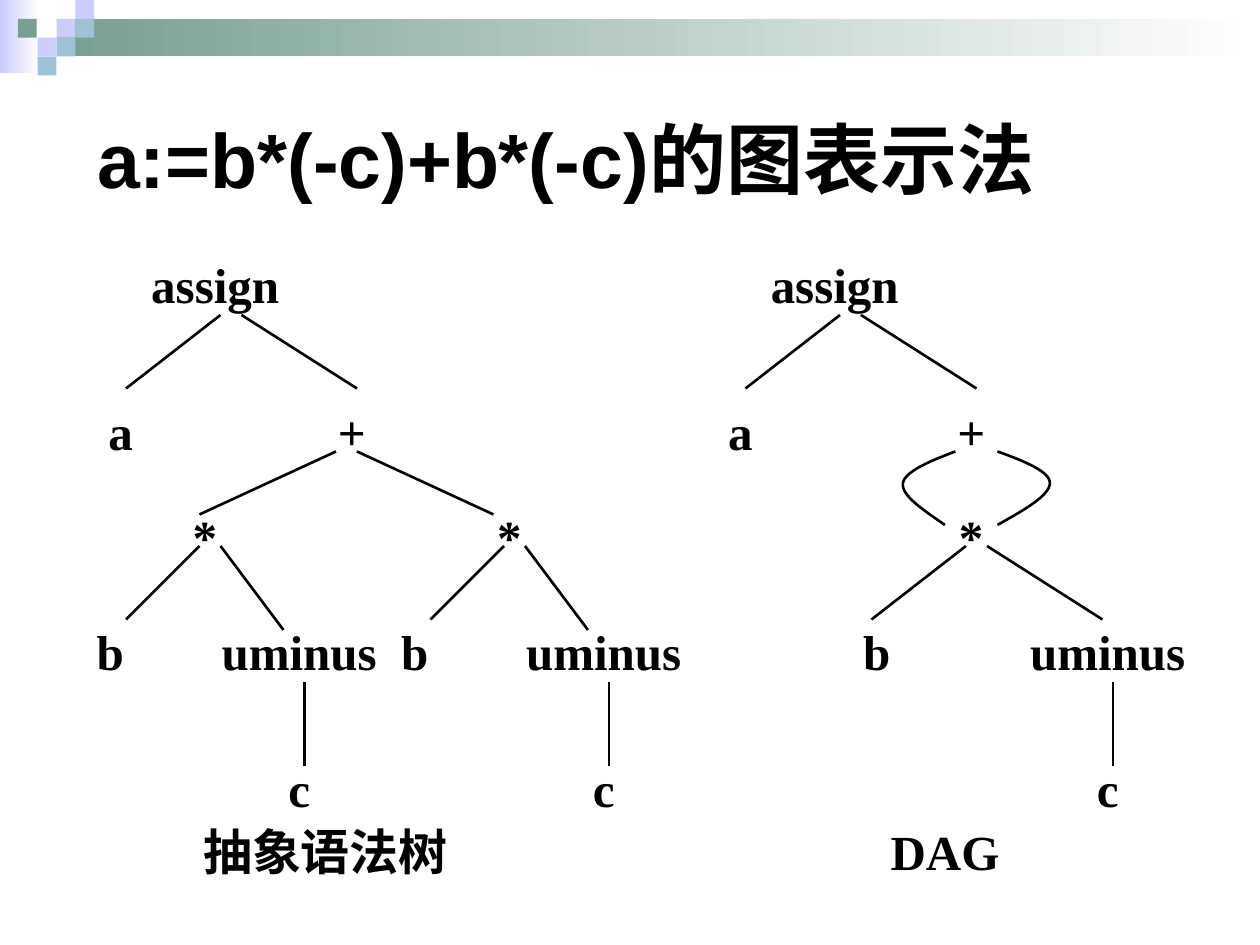
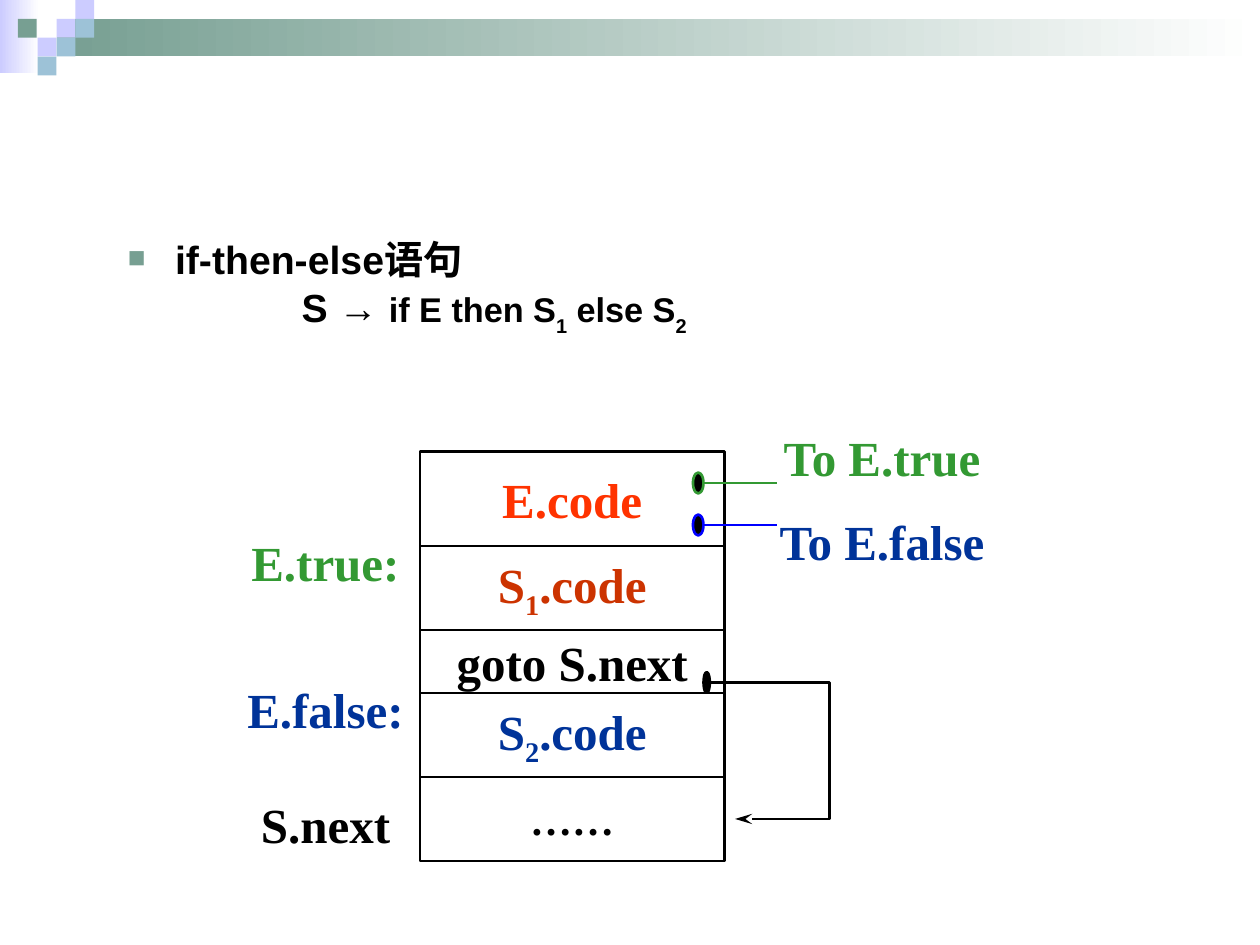
from lxml.etree import SubElement
from pptx import Presentation
from pptx.dml.color import RGBColor
from pptx.enum.shapes import MSO_CONNECTOR, MSO_SHAPE
from pptx.enum.text import MSO_ANCHOR, PP_ALIGN
from pptx.oxml.ns import qn
from pptx.util import Cm, Pt

# Shared colours and fonts
BLACK, WHITE, LILAC, SKY, SAGE = "000000", "FFFFFF", "CCCCFF", "9DC2D7", "779F92"
GREEN, NAVY, BLUE, RED, RUST = "339933", "003399", "0000FF", "FF3300", "CC3300"
SANS, SERIF = "Arial", "Times New Roman"
SHIFT = 59  # grid units from the syntax tree to the DAG


def color(code):
    return RGBColor.from_string(code)


def grid(*units):
    """Turn grid units, twelve to 2.54 cm, into lengths."""
    return [Cm(2.54 * unit / 12) for unit in units]


# Basic elements
def style(para, size, hue=BLACK, face=SERIF):
    font = para.font
    font.name, font.bold = face, True
    font.color.rgb = color(hue)
    if size:
        font.size = Pt(size)


def write(para, text, drop=-25, size=None):
    """Add runs; parts between tildes are subscripts."""
    for index, part in enumerate(text.split("~")):
        if not part:
            continue
        run = para.add_run()
        run.text = part
        if size:
            run.font.size = Pt(size)
        if index % 2:
            run._r.get_or_add_rPr().set("baseline", str(drop * 1000))


def fill_text(shape, text, hue=BLACK, size=28):
    frame = shape.text_frame
    frame.word_wrap = False
    frame.vertical_anchor = MSO_ANCHOR.MIDDLE
    para = frame.paragraphs[0]
    para.alignment = PP_ALIGN.CENTER
    style(para, size, hue)
    write(para, text)


def stroke(shape, hue=BLACK):
    shape.line.color.rgb = color(hue)
    shape.line.width = Pt(1.5)


def block(slide, kind, box, fill=None):
    shape = slide.shapes.add_shape(kind, *box)
    shape.shadow.inherit = False
    shape.line.fill.background()
    if fill:
        shape.fill.solid()
        shape.fill.fore_color.rgb = color(fill)
    else:
        shape.fill.background()
    return shape


def label(slide, text, x, y, wide=13, high=8, hue=BLACK):
    """Centre text on a clear rectangle, which lets long words overhang."""
    box = grid(x, y, wide, high)
    fill_text(block(slide, MSO_SHAPE.RECTANGLE, box), text, hue)


def fade(slide, box, hue):
    shape = block(slide, MSO_SHAPE.RECTANGLE, box)
    shape.fill.gradient()
    shape.fill.gradient_angle = 0
    for stop, code in zip(shape.fill.gradient_stops, (hue, WHITE)):
        stop.color.rgb = color(code)


def line(slide, start, end, hue=BLACK):
    link = slide.shapes.add_connector(
        MSO_CONNECTOR.STRAIGHT, *grid(*start), *grid(*end))
    stroke(link, hue)
    SubElement(link._element.spPr, qn("a:effectLst"))


def trace(slide, points):
    """Draw an open outline through grid points."""
    first, *rest = [grid(*point) for point in points]
    pen = slide.shapes.build_freeform(*first)
    pen.add_line_segments(rest, close=False)
    shape = pen.convert_to_shape()
    shape.shadow.inherit = False
    shape.fill.background()
    stroke(shape)
    return shape


def bezier(a, b, c, d, steps=16):
    for step in range(steps + 1):
        t = step / steps
        s = 1 - t
        yield tuple(s**3 * p + 3 * s * s * t * q + 3 * s * t * t * r + t**3 * e
                    for p, q, r, e in zip(a, b, c, d))


def loop(slide, knots):
    """Draw two joined curves given by seven knots."""
    trace(slide, [*bezier(*knots[:4]), *list(bezier(*knots[3:]))[1:]])


# Parts shared by the slides
def header(slide):
    cell = 0.38
    fade(slide, (0, 0, Cm(0.79), Cm(1.47)), LILAC)
    fade(slide, (Cm(3 * cell), Cm(cell), Cm(24.26), Cm(2 * cell)), SAGE)
    for col, row, hue in ((3, 1, LILAC), (4, 0, LILAC), (4, 1, SKY), (2, 2, LILAC),
                          (0.95, 1, SAGE), (3, 2, SKY), (2, 3, SKY)):
        box = Cm(col * cell), Cm(row * cell), Cm(cell), Cm(cell)
        block(slide, MSO_SHAPE.RECTANGLE, box, hue)


def title(slide, text):
    box = slide.shapes.add_textbox(Cm(1.27), Cm(1.27), Cm(22.86), Cm(3.81))
    frame = box.text_frame
    frame.word_wrap = True
    frame.vertical_anchor = MSO_ANCHOR.MIDDLE
    frame.margin_left = Cm(0.69)
    para = frame.paragraphs[0]
    style(para, 44, face=SANS)
    write(para, text)


# Parts of the tree slide
def crown(slide, x, name):
    """Draw the top of a tree and its caption."""
    label(slide, "assign", x + 14, 23)
    label(slide, "a", x + 5, 37)
    label(slide, "+", x + 27, 37)
    line(slide, (x + 21, 30), (x + 12, 37))
    line(slide, (x + 23, 30), (x + 34, 37))
    label(slide, name, x + 21, 77, wide=20)


def product(slide, star, b, minus, left, right):
    """Draw b * uminus c; left and right end the two branches."""
    label(slide, "*", star, 47)
    label(slide, "b", b, 58)
    label(slide, "uminus", minus, 58)
    label(slide, "c", minus, 71)
    line(slide, (star + 6, 52), left)
    line(slide, (star + 8, 52), right)
    line(slide, (minus + 7, 65), (minus + 7, 73))


def trees(slide):
    title(slide, "a:=b*(-c)+b*(-c)的图表示法")
    # Syntax tree
    crown(slide, 0, "抽象语法树")
    line(slide, (32, 43), (19, 49))
    line(slide, (34, 43), (47, 49))
    for x in (0, 29):
        product(slide, x + 13, x + 4, x + 22, (x + 12, 59), (x + 27, 60))
    # DAG with a shared product
    crown(slide, SHIFT, "DAG")
    loop(slide, [(91, 43), (88.6, 43.9), (86.2, 44.9), (86, 46),
                 (85.8, 47.2), (88, 48.6), (90, 50)])
    loop(slide, [(95, 43), (97.5, 43.9), (100, 44.9), (100, 46),
                 (100, 47.2), (97.5, 48.6), (95, 50)])
    product(slide, 86, 77, 99, (83, 59), (105, 59))


# Parts of the code slide
def bullet(para):
    props = para._p.get_or_add_pPr()
    props.set("marL", str(Cm(0.95)))
    props.set("indent", str(-Cm(0.95)))
    tint = SubElement(props, qn("a:buClr"))
    SubElement(tint, qn("a:srgbClr"), val=SAGE)
    SubElement(props, qn("a:buSzPct"), val="75000")
    SubElement(props, qn("a:buFont"), typeface=SANS)
    SubElement(props, qn("a:buChar"), char="■")


def rule(slide):
    box = slide.shapes.add_textbox(Cm(2.33), Cm(4.87), Cm(21.8), Cm(1.9))
    frame = box.text_frame
    frame.word_wrap = True
    head, body = frame.paragraphs[0], frame.add_paragraph()
    head.line_spacing = body.line_spacing = 0.7
    body.space_before = Pt(7)
    bullet(head)
    style(head, 22.4, face=SANS)
    write(head, "if-then-else语句")
    body._p.get_or_add_pPr().set("marL", str(Cm(3.5)))
    style(body, None, face=SANS)
    write(body, "S → ", size=22.4)
    write(body, "if E then S~1~ else S~2~", drop=-30, size=19.6)


def stack(slide, x, y, wide, rows):
    for text, high, hue, size in rows:
        row = block(slide, MSO_SHAPE.RECTANGLE, grid(x, y, wide, high))
        stroke(row)
        fill_text(row, text, hue, size)
        y += high


def dot(slide, x, y, wide, hue):
    shape = block(slide, MSO_SHAPE.OVAL, grid(x, y - 1, wide, 2), BLACK)
    stroke(shape, hue)


def code(slide):
    rule(slide)
    stack(slide, 40, 43, 29, (
        ("E.code", 9, RED, 28),
        ("S~1~.code", 8, RUST, 28),
        ("goto S.next", 6, BLACK, 28),
        ("S~2~.code", 8, NAVY, 28),
        ("……", 8, BLACK, 24),
    ))
    # Exits of the condition
    for y, hue in ((46, GREEN), (50, BLUE)):
        line(slide, (67, y), (74, y), hue)
        dot(slide, 66, y, 1, hue)
    # Jump past the else part
    jump = trace(slide, [(67.6, 65), (79, 65), (79, 78), (70, 78)])
    SubElement(jump.line._get_or_add_ln(), qn("a:tailEnd"), type="stealth", len="lg")
    dot(slide, 67, 65, 0.6, BLACK)
    # Labels beside the stack
    for text, x, y, hue in (
        ("To E.true", 75, 40, GREEN),
        ("To E.false", 75, 48, NAVY),
        ("E.true:", 22, 50, GREEN),
        ("E.false:", 22, 64, NAVY),
        ("S.next", 22, 75, BLACK),
    ):
        label(slide, text, x, y, 18, 7, hue)


def main():
    deck = Presentation()
    deck.slide_width, deck.slide_height = Cm(25.4), Cm(19.05)
    for draw in (trees, code):
        slide = deck.slides.add_slide(deck.slide_layouts[6])
        header(slide)
        draw(slide)
    deck.save("out.pptx")


if __name__ == "__main__":
    main()
